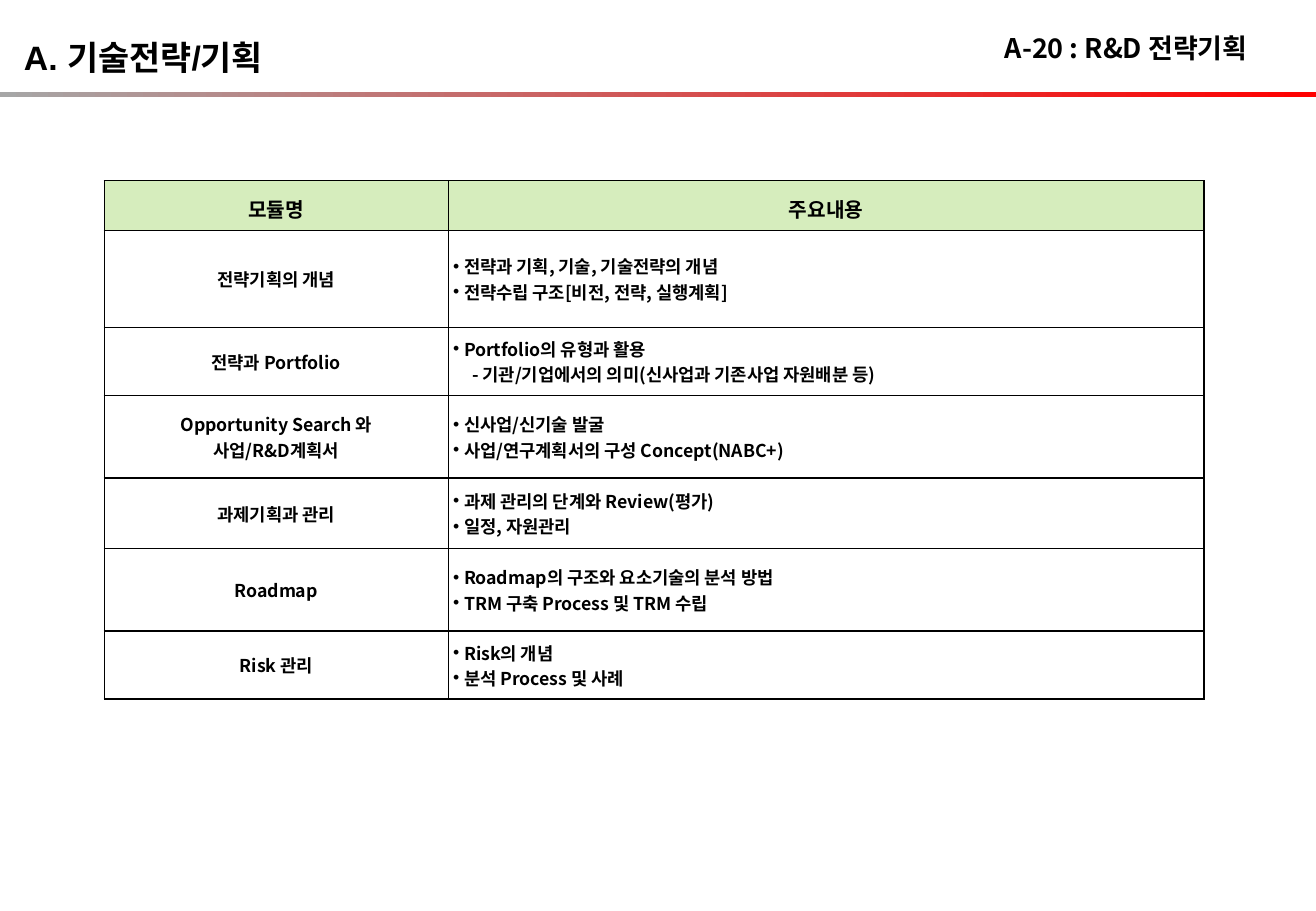
"""Build the R&D strategy planning module slide."""
from lxml.etree import SubElement
from pptx import Presentation
from pptx.dml.color import RGBColor
from pptx.enum.shapes import MSO_SHAPE
from pptx.enum.text import MSO_ANCHOR, PP_ALIGN
from pptx.oxml.ns import qn
from pptx.util import Cm, Pt

KOREAN = "Noto Sans CJK KR"
BLACK, WHITE, GREEN, GRAY, RED = "000000", "FFFFFF", "D6EDBD", "A6A6A6", "FF0000"
SECTION = "A. 기술전략/기획"
TITLE = "A-20 : R&D 전략기획"
HEADERS = ["모듈명", "주요내용"]
MODULES = [
    ("전략기획의 개념", ["전략과 기획, 기술, 기술전략의 개념", "전략수립 구조[비전, 전략, 실행계획]"]),
    ("전략과 Portfolio", ["Portfolio의 유형과 활용", "- 기관/기업에서의 의미(신사업과 기존사업 자원배분 등)"]),
    ("Opportunity Search 와\n사업/R&D계획서", ["신사업/신기술 발굴", "사업/연구계획서의 구성 Concept(NABC+)"]),
    ("과제기획과 관리", ["과제 관리의 단계와 Review(평가)", "일정, 자원관리"]),
    ("Roadmap", ["Roadmap의 구조와 요소기술의 분석 방법", "TRM 구축 Process 및 TRM 수립"]),
    ("Risk 관리", ["Risk의 개념", "분석 Process 및 사례"]),
]
COLUMN_WIDTHS = [7.19, 15.8]
ROW_HEIGHTS = [1.04, 2.03, 1.42, 1.73, 1.47, 1.73, 1.42]
SLIDE_WIDTH, SLIDE_HEIGHT = 27.51, 19.05


def color(value):
    return RGBColor.from_string(value)


def add_text(para, text, size, font=KOREAN):
    for index, line in enumerate(text.split("\n")):
        if index:
            para.add_line_break()
        span = para.add_run()
        span.text = line
        span.font.size = Pt(size)
        span.font.bold = True
        span.font.name = font
        span.font.color.rgb = color(BLACK)
        SubElement(span.font._element, qn("a:ea"), typeface=KOREAN)


def add_label(page, text, size, left, top, width, height, align, font=KOREAN):
    box = page.shapes.add_textbox(Cm(left), Cm(top), Cm(width), Cm(height))
    frame = box.text_frame
    frame.word_wrap = True
    frame.vertical_anchor = MSO_ANCHOR.MIDDLE
    para = frame.paragraphs[0]
    para.alignment = align
    add_text(para, text, size, font)


def style_cell(cell, fill, margin=None):
    properties = cell._tc.get_or_add_tcPr()
    for side in ("lnL", "lnR", "lnT", "lnB"):
        line = SubElement(properties, qn(f"a:{side}"), w=str(Pt(1)))
        SubElement(SubElement(line, qn("a:solidFill")), qn("a:srgbClr"), val=BLACK)
    cell.fill.solid()
    cell.fill.fore_color.rgb = color(fill)
    cell.vertical_anchor = MSO_ANCHOR.MIDDLE
    if margin:
        cell.margin_left = cell.margin_right = Cm(margin)
        cell.margin_top = cell.margin_bottom = Cm(margin)


def add_item(para, text):
    properties = para._p.get_or_add_pPr()
    if text.startswith("-"):
        properties.set("marL", str(Cm(0.4)))
    else:
        properties.set("marL", str(Cm(0.23)))
        properties.set("indent", str(-Cm(0.23)))
        SubElement(properties, qn("a:buFont"), typeface="Arial")
        SubElement(properties, qn("a:buChar"), char="•")
    add_text(para, text, 10.5)


def add_modules(page):
    frame = page.shapes.add_table(
        len(ROW_HEIGHTS), len(COLUMN_WIDTHS), Cm(2.18), Cm(3.78),
        Cm(sum(COLUMN_WIDTHS)), Cm(sum(ROW_HEIGHTS)))
    table = frame.table
    for column, width in zip(table.columns, COLUMN_WIDTHS):
        column.width = Cm(width)
    for row, height in zip(table.rows, ROW_HEIGHTS):
        row.height = Cm(height)
    for index, header in enumerate(HEADERS):
        cell = table.cell(0, index)
        style_cell(cell, GREEN)
        para = cell.text_frame.paragraphs[0]
        para.alignment = PP_ALIGN.CENTER
        para.line_spacing = 1.2
        add_text(para, header, 12)
    for row, (name, items) in enumerate(MODULES, start=1):
        name_cell, item_cell = table.cell(row, 0), table.cell(row, 1)
        for cell in (name_cell, item_cell):
            style_cell(cell, WHITE, 0.1)
        para = name_cell.text_frame.paragraphs[0]
        para.alignment = PP_ALIGN.CENTER
        add_text(para, name, 10.5)
        frame = item_cell.text_frame
        for index, item in enumerate(items):
            add_item(frame.add_paragraph() if index else frame.paragraphs[0], item)


def add_rule(page):
    rule = page.shapes.add_shape(MSO_SHAPE.RECTANGLE, 0, Cm(1.93), Cm(SLIDE_WIDTH), Cm(0.1))
    rule.shadow.inherit = False
    rule.line.fill.background()
    rule.fill.gradient()
    rule.fill.gradient_angle = 0
    for stop, position, value in zip(rule.fill.gradient_stops, (0, 1), (GRAY, RED)):
        stop.position = position
        stop.color.rgb = color(value)


def main():
    deck = Presentation()
    deck.slide_width, deck.slide_height = Cm(SLIDE_WIDTH), Cm(SLIDE_HEIGHT)
    page = deck.slides.add_slide(deck.slide_layouts[6])
    add_rule(page)
    add_modules(page)
    add_label(page, TITLE, 16, 20, 0.53, 6.33, 0.94, PP_ALIGN.RIGHT)
    add_label(page, SECTION, 20, 0.25, 0.64, 6.8, 1.12, PP_ALIGN.LEFT, "Arial")
    deck.save("out.pptx")


if __name__ == "__main__":
    main()
